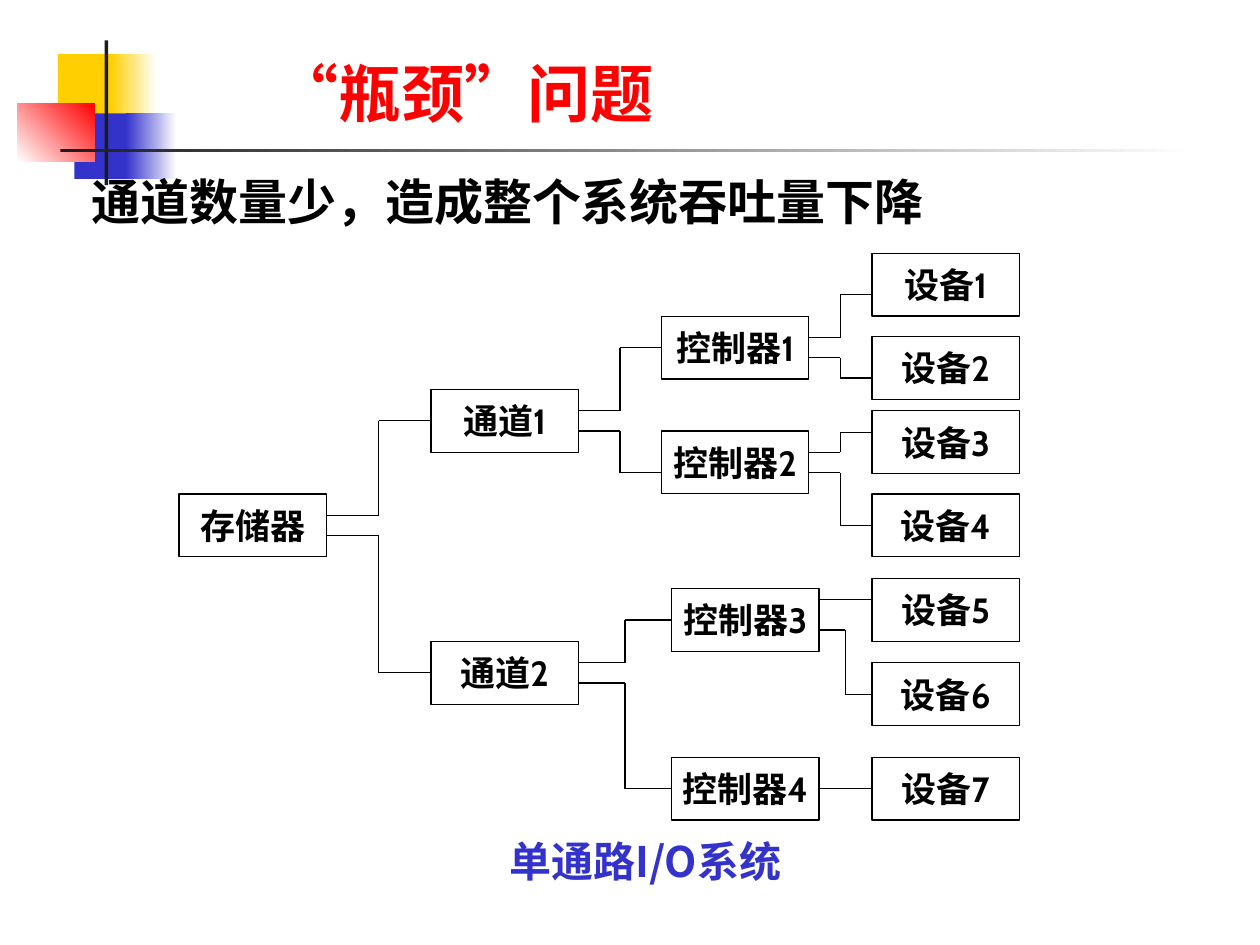
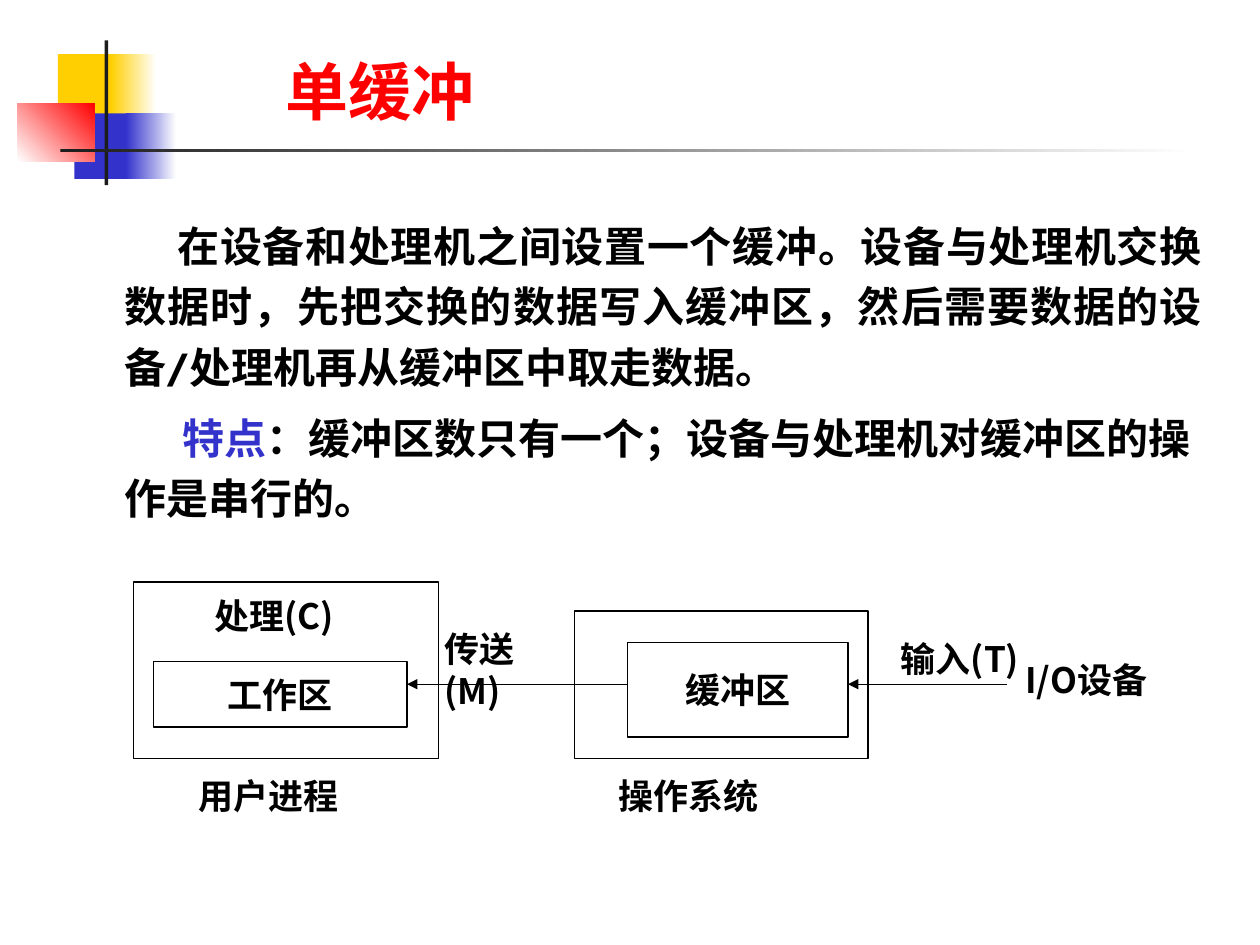
"""Build two slides on I/O channel bottlenecks and single buffering."""
from lxml import etree
from pptx import Presentation
from pptx.dml.color import RGBColor
from pptx.enum.shapes import MSO_CONNECTOR, MSO_SHAPE
from pptx.enum.text import MSO_ANCHOR, PP_ALIGN
from pptx.oxml.ns import qn
from pptx.util import Inches, Pt

BLACK = RGBColor(0, 0, 0)
WHITE = RGBColor(0xFF, 0xFF, 0xFF)
RED = RGBColor(0xFF, 0, 0)
BLUE = RGBColor(0x33, 0x33, 0xCC)
YELLOW = RGBColor(0xFF, 0xCF, 0x01)
DARK = RGBColor(0x1C, 0x1C, 0x1C)
LATIN, CJK, SERIF = "Cabin", "Noto Sans CJK SC", "Times New Roman"

DECOR = [
    ((0.46, 0.43, 0.48, 0.52), (YELLOW,), 0),
    ((0.88, 0.43, 0.36, 0.52), (YELLOW, WHITE), 0),
    ((0.59, 0.9, 0.46, 0.52), (BLUE,), 0),
    ((1, 0.9, 0.4, 0.52), (BLUE, WHITE), 0),
    ((0.14, 0.82, 0.61, 0.46), (WHITE, RED), 45),
    ((0.83, 0.32, 0.03, 1.15), (DARK,), 0),
    ((0.48, 1.18, 9, 0.03), (DARK, WHITE), 0),
]

BOTTLENECK_TITLE = [("“", RED, SERIF), ("瓶颈", RED, LATIN),
                    ("”", RED, SERIF), ("问题", RED, LATIN)]
BOTTLENECK_LEAD = "通道数量少，造成整个系统吞吐量下降"
BOTTLENECK_CAPTION = "单通路I/O系统"

NODE_W, NODE_H = 1.17, 0.5
NODES = {
    "存储器": (1.42, 3.92),
    "通道1": (3.42, 3.09), "通道2": (3.42, 5.09),
    "控制器1": (5.25, 2.51), "控制器2": (5.25, 3.42),
    "控制器3": (5.33, 4.67), "控制器4": (5.33, 6.01),
}
DEVICE_X = 6.92
DEVICE_TOPS = [2.01, 2.67, 3.26, 3.92, 4.59, 5.26, 6.01]
NODES.update({f"设备{i}": (DEVICE_X, top) for i, top in enumerate(DEVICE_TOPS, 1)})

STEP = 0.08
LINKS = [
    ("存储器", "通道1", -STEP, 0), ("存储器", "通道2", STEP, 0),
    ("通道1", "控制器1", -STEP, 0), ("通道1", "控制器2", STEP, STEP),
    ("通道2", "控制器3", -STEP, 0), ("通道2", "控制器4", STEP, 0),
    ("控制器1", "设备1", -STEP, STEP), ("控制器1", "设备2", STEP, STEP),
    ("控制器2", "设备3", -STEP, -STEP), ("控制器2", "设备4", STEP, 0),
    ("控制器3", "设备5", -2 * STEP, -STEP), ("控制器3", "设备6", STEP, 0),
    ("控制器4", "设备7", 0, 0),
]

BUFFER_TITLE = [("单缓冲", RED, LATIN)]
BUFFER_BODY = [
    ([("在设备和处理机之间设置一个缓冲。设备与处理机交换数据时，先把交换的数据写入缓冲区，"
       "然后需要数据的设备/处理机再从缓冲区中取走数据。", BLACK, LATIN)],
     0.42, PP_ALIGN.JUSTIFY),
    ([("特点", BLUE, LATIN),
      ("：缓冲区数只有一个；设备与处理机对缓冲区的操作是串行的。", BLACK, LATIN)],
     0.46, PP_ALIGN.LEFT),
]
BUFFER_BOXES = [
    ((1.06, 4.62, 2.42, 1.4), ""),
    ((4.56, 4.85, 2.33, 1.17), ""),
    ((1.22, 5.25, 2.01, 0.52), "工作区"),
    ((4.98, 5.1, 1.75, 0.75), "缓冲区"),
]
BUFFER_LABELS = [
    ((1.48, 6.1, 1.5, 0.44), "用户进程"),
    ((4.81, 6.1, 1.5, 0.44), "操作系统"),
    ((3.43, 4.93, 1.08, 0.77), "传送(M)"),
    ((7.05, 5.01, 1.16, 0.77), "输入(T)"),
    ((8.04, 5.18, 1.33, 0.44), "I/O设备"),
]
PROCESS_LABEL = ((1.6, 4.67, 1.32, 0.44), "处理(C)")
ARROW_Y = 5.43
ARROWS = [(4.98, 3.23), (7.99, 6.73)]


def add_runs(p, runs, size):
    for text, color, face in runs:
        r = p.add_run()
        r.text = text
        r.font.size = Pt(size)
        r.font.bold = True
        r.font.name = face
        r.font.color.rgb = color
        rpr = r.font._element
        rpr.set("lang", "zh-CN")
        ea = etree.Element(qn("a:ea"), typeface=CJK)
        rpr.find(qn("a:latin")).addnext(ea)


def add_text(slide, at, runs, size, align=PP_ALIGN.LEFT, before=0,
             anchor=MSO_ANCHOR.TOP, wrap=True):
    tf = slide.shapes.add_textbox(*map(Inches, at)).text_frame
    tf.word_wrap = wrap
    tf.vertical_anchor = anchor
    p = tf.paragraphs[0]
    p.alignment = align
    p.space_before = Pt(before)
    add_runs(p, runs, size)
    return tf


def add_rect(slide, at):
    sp = slide.shapes.add_shape(MSO_SHAPE.RECTANGLE, *map(Inches, at))
    sp.shadow.inherit = False
    return sp


def add_box(slide, at, label):
    sp = add_rect(slide, at)
    sp.fill.solid()
    sp.fill.fore_color.rgb = WHITE
    sp.line.color.rgb = BLACK
    sp.line.width = Pt(0.75)
    if label:
        tf = sp.text_frame
        tf.word_wrap = False
        tf.vertical_anchor = MSO_ANCHOR.MIDDLE
        tf.paragraphs[0].alignment = PP_ALIGN.CENTER
        add_runs(tf.paragraphs[0], [(label, BLACK, LATIN)], 20)


def add_line(slide, start, end, arrow=False):
    line = slide.shapes.add_connector(MSO_CONNECTOR.STRAIGHT, *map(Inches, start + end))
    line.line.color.rgb = BLACK
    line.line.width = Pt(0.75)
    if arrow:
        etree.SubElement(line.line._get_or_add_ln(), qn("a:tailEnd"), type="triangle")
    etree.SubElement(line._element.spPr, qn("a:effectLst"))


def add_link(slide, parent, child, exit_shift, entry_shift):
    px, py = NODES[parent]
    cx, cy = NODES[child]
    x1, y1 = px + NODE_W, py + NODE_H / 2 + exit_shift
    y2 = cy + NODE_H / 2 + entry_shift
    if abs(y1 - y2) < 0.02:
        add_line(slide, (x1, y2), (cx, y2))
        return
    mid = (x1 + cx) / 2
    points = [(x1, y1), (mid, y1), (mid, y2), (cx, y2)]
    for start, end in zip(points, points[1:]):
        add_line(slide, start, end)


def add_base(prs, title, at):
    slide = prs.slides.add_slide(prs.slide_layouts[6])
    for place, colors, angle in DECOR:
        sp = add_rect(slide, place)
        sp.line.fill.background()
        if len(colors) == 1:
            sp.fill.solid()
            sp.fill.fore_color.rgb = colors[0]
        else:
            sp.fill.gradient()
            sp.fill.gradient_angle = angle
            for stop, color in zip(sp.fill.gradient_stops, colors):
                stop.color.rgb = color
    add_text(slide, at, title, 36, anchor=MSO_ANCHOR.BOTTOM)
    return slide


def build_bottleneck(prs):
    slide = add_base(prs, BOTTLENECK_TITLE, (2.09, 0.58, 5.17, 0.5))
    for label, (x, y) in NODES.items():
        add_box(slide, (x, y, NODE_W, NODE_H), label)
    for link in LINKS:
        add_link(slide, *link)
    add_text(slide, (2.58, 6.58, 5.08, 0.5), [(BOTTLENECK_CAPTION, BLUE, CJK)], 24,
             PP_ALIGN.CENTER, before=15)
    add_text(slide, (0.63, 1.31, 6.97, 0.57), [(BOTTLENECK_LEAD, BLACK, LATIN)], 28)


def build_buffer(prs):
    slide = add_base(prs, BUFFER_TITLE, (2.17, 0.24, 5.5, 0.83))
    tf = slide.shapes.add_textbox(*map(Inches, (0.51, 1.62, 9.13, 3.57))).text_frame
    tf.word_wrap = True
    for i, (runs, indent, align) in enumerate(BUFFER_BODY):
        p = tf.add_paragraph() if i else tf.paragraphs[0]
        p.alignment = align
        p.line_spacing = 1.2
        p.space_before = Pt(6)
        ppr = p._p.get_or_add_pPr()
        ppr.set("marL", str(Inches(0.38)))
        ppr.set("indent", str(Inches(indent)))
        add_runs(p, runs, 24)
    for at, label in BUFFER_BOXES:
        add_box(slide, at, label)
    for at, label in BUFFER_LABELS:
        add_text(slide, at, [(label, BLACK, CJK)], 20, before=12.5)
    for x1, x2 in ARROWS:
        add_line(slide, (x1, ARROW_Y), (x2, ARROW_Y), arrow=True)
    at, label = PROCESS_LABEL
    add_text(slide, at, [(label, BLACK, CJK)], 20, wrap=False)


def main():
    prs = Presentation()
    prs.slide_width, prs.slide_height = Inches(10), Inches(7.5)
    build_bottleneck(prs)
    build_buffer(prs)
    prs.save("out.pptx")


if __name__ == "__main__":
    main()
